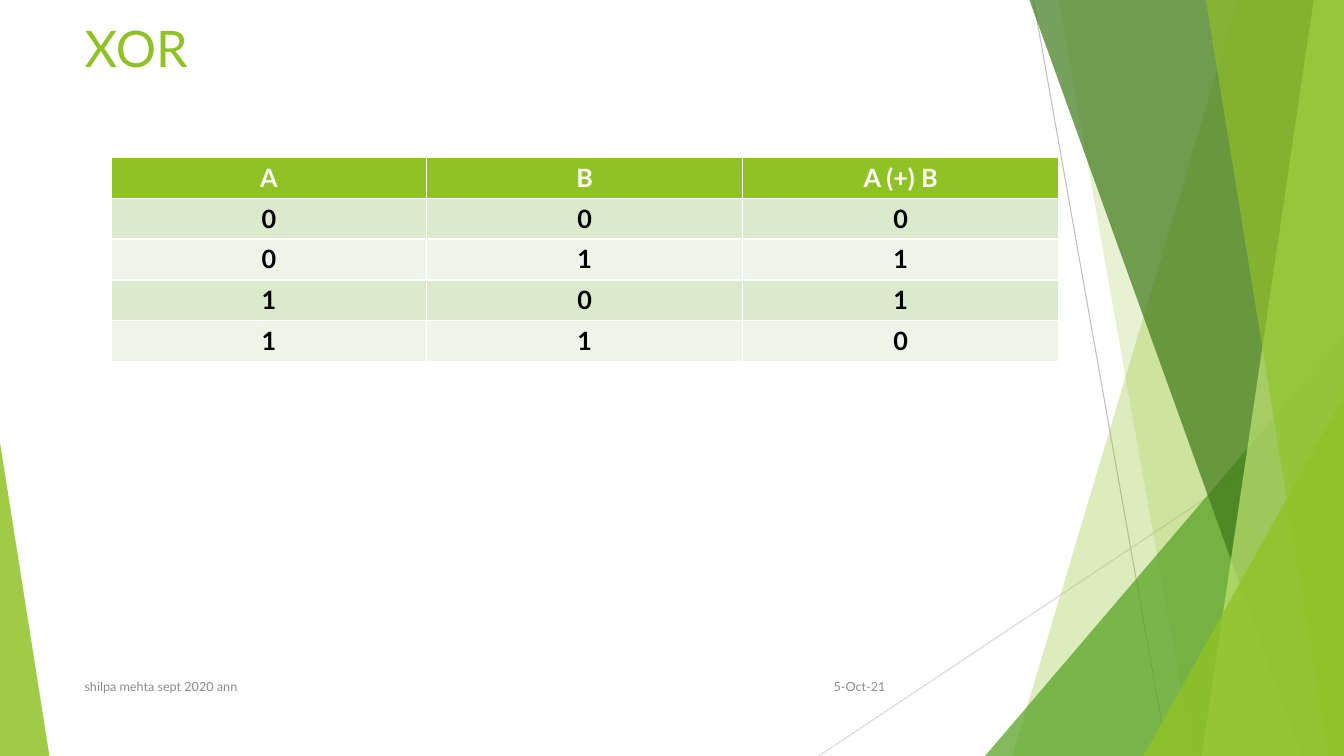
from lxml.etree import SubElement
from pptx import Presentation
from pptx.dml.color import RGBColor
from pptx.enum.shapes import MSO_CONNECTOR, MSO_SHAPE
from pptx.enum.text import MSO_ANCHOR, PP_ALIGN
from pptx.oxml.ns import qn
from pptx.util import Inches, Pt

FONT = "Lato"
WIDE, HIGH = 13.33, 7.5
HUES = {
    "lime": "90C226", "leaf": "54A021", "pine": "3F7819", "pale": "C0E474",
    "line": "BFBFBF", "faint": "D9D9D9", "gray": "8C8C8C",
    "odd": "DBE9CD", "even": "EEF4E8", "white": "FFFFFF", "black": "000000",
}
TRUTH = [("A", "B", "A (+) B"), (0, 0, 0), (0, 1, 1), (1, 0, 1), (1, 1, 0)]


def hue(name):
    return RGBColor.from_string(HUES[name])


def style(para, size, color, align=PP_ALIGN.LEFT, bold=False):
    para.alignment = align
    font = para.font
    font.name, font.size, font.bold = FONT, Pt(size), bold
    font.color.rgb = hue(color)


def tint(shape, color, alpha):
    shape.shadow.inherit = False
    shape.line.fill.background()
    shape.fill.solid()
    shape.fill.fore_color.rgb = hue(color)
    tone = shape.fill._xPr.find(qn("a:solidFill"))[0]
    SubElement(tone, qn("a:alpha"), val=str(alpha * 1000))


def draw_line(shapes, start, end, color):
    ends = [Inches(v) for v in (*start, *end)]
    line = shapes.add_connector(MSO_CONNECTOR.STRAIGHT, *ends)
    line.line.color.rgb = hue(color)
    line.line.width = Pt(0.75)
    SubElement(line._element.spPr, qn("a:effectLst"))


def draw_wedge(shapes, box, top, base, color, alpha):
    x, y, w, h = box
    right, foot = x + w, y + h
    spots = [(right - top, y), (right, y), (right, foot), (right - base, foot)]
    spots = [(Inches(a), Inches(b)) for a, b in spots]
    form = shapes.build_freeform(*spots[0])
    form.add_line_segments(spots[1:], close=True)
    tint(form.convert_to_shape(), color, alpha)


def draw_peak(shapes, box, apex, color, alpha):
    peak = shapes.add_shape(MSO_SHAPE.ISOSCELES_TRIANGLE, *map(Inches, box))
    peak.adjustments[0] = apex
    tint(peak, color, alpha)


def draw_right(shapes, box):
    x, y, w, h = box
    right, foot = x + w, y + h
    draw_line(shapes, (right - 3.08, y), (right - 1.75, foot), "line")
    draw_line(shapes, (right, foot - 3.47), (x, foot), "faint")

    def wedge(*spec):
        draw_wedge(shapes, box, *spec)

    def peak(wide, high, color, alpha):
        spot = (right - wide, foot - high, wide, high)
        draw_peak(shapes, spot, 1, color, alpha)

    wedge(1.05, 3.29, "lime", 30)
    wedge(2.83, 1.5, "lime", 20)
    peak(3.56, 4.17, "leaf", 72)
    wedge(3.12, 0.42, "pine", 70)
    wedge(0.3, 1.41, "pale", 70)
    wedge(1.37, 0.15, "lime", 65)
    peak(1.99, 3.57, "lime", 80)


def draw_text(shapes, box, text, size, color, anchor, align=PP_ALIGN.LEFT):
    frame = shapes.add_textbox(*map(Inches, box)).text_frame
    frame.word_wrap = True
    frame.vertical_anchor = anchor
    para = frame.paragraphs[0]
    para.text = text
    style(para, size, color, align)


def draw_table(shapes, box, rows):
    grid = shapes.add_table(len(rows), len(rows[0]), *map(Inches, box)).table
    for r, row in enumerate(rows):
        fill = "lime" if r == 0 else "odd" if r % 2 else "even"
        for c, value in enumerate(row):
            cell = grid.cell(r, c)
            cell.text = str(value)
            cell.fill.solid()
            cell.fill.fore_color.rgb = hue(fill)
            ink = "black" if r else "white"
            style(cell.text_frame.paragraphs[0], 18, ink, PP_ALIGN.CENTER, True)


def draw_foot(shapes, box):
    x, y, w, h = box
    note, date = 6.89, 1
    mid = MSO_ANCHOR.MIDDLE
    draw_text(shapes, (x + w - date, y, date, h), "5-Oct-21", 9, "gray", mid,
              PP_ALIGN.RIGHT)
    draw_text(shapes, (x, y, note, h), "shilpa mehta sept 2020 ann", 9, "gray", mid)


def main():
    deck = Presentation()
    deck.slide_width, deck.slide_height = Inches(WIDE), Inches(HIGH)
    shapes = deck.slides.add_slide(deck.slide_layouts[6]).shapes
    draw_right(shapes, (8.12, 0, 5.21, HIGH))
    draw_peak(shapes, (0, 4.39, 0.49, 3.11), 0, "lime", 85)
    draw_text(shapes, (0.74, 0.12, 9.4, 0.88), "XOR", 36, "lime", MSO_ANCHOR.TOP)
    draw_table(shapes, (1.1, 1.56, 9.4, 2.03), TRUTH)
    draw_foot(shapes, (0.74, 6.61, 8.14, 0.4))
    deck.save("out.pptx")


if __name__ == "__main__":
    main()
